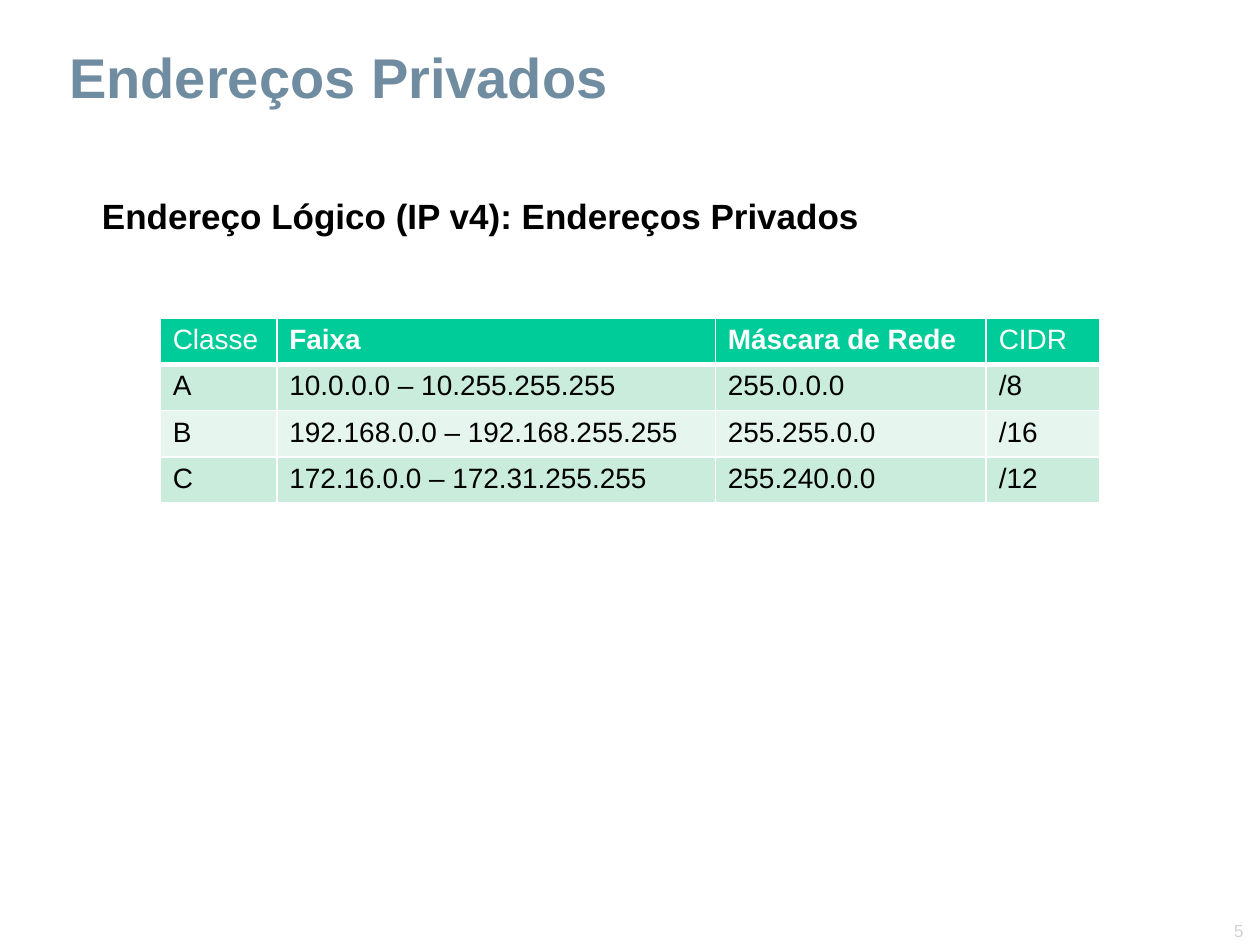
from lxml import etree
from pptx import Presentation
from pptx.dml.color import RGBColor
from pptx.enum import text
from pptx.oxml import ns
from pptx.util import Pt

FONT = "Arial"
COLORS = {
    "title": "708CA1",
    "body": "000000",
    "number": "D3D3D3",
    "header": "00CC99",
    "band_dark": "CAECDD",
    "band_light": "E6F6EF",
    "white": "FFFFFF",
}
HEADERS = [("Classe", False), ("Faixa", True), ("Máscara de Rede", True), ("CIDR", False)]
RANGES = [
    ("A", "10.0.0.0 – 10.255.255.255", "255.0.0.0", "/8"),
    ("B", "192.168.0.0 – 192.168.255.255", "255.255.0.0", "/16"),
    ("C", "172.16.0.0 – 172.31.255.255", "255.240.0.0", "/12"),
]
COLUMN_WIDTHS = [66.6, 250.6, 154.8, 64.8]
ROW_HEIGHT = 26.4


def add_run(para, content, size, color, bold=False):
    span = para.add_run()
    span.text = content
    span.font.name = FONT
    span.font.size = Pt(size)
    span.font.bold = bold
    span.font.color.rgb = RGBColor.from_string(COLORS[color])


def add_text(page, frame, content, size, color, bold=False,
             anchor=text.MSO_ANCHOR.TOP, align=text.PP_ALIGN.LEFT, spacing=1.0):
    box = page.shapes.add_textbox(*map(Pt, frame))
    body = box.text_frame
    body.word_wrap = True
    body.vertical_anchor = anchor
    body.margin_left = body.margin_right = Pt(6.5)
    body.margin_top = body.margin_bottom = Pt(3)
    para = body.paragraphs[0]
    para.alignment = align
    para.line_spacing = spacing
    add_run(para, content, size, color, bold)


def add_borders(cell, bottom_width):
    properties = cell._tc.get_or_add_tcPr()
    for side, width in (("L", 1), ("R", 1), ("T", 1), ("B", bottom_width)):
        line = etree.SubElement(properties, ns.qn(f"a:ln{side}"), w=str(Pt(width)))
        fill = etree.SubElement(line, ns.qn("a:solidFill"))
        etree.SubElement(fill, ns.qn("a:srgbClr"), val=COLORS["white"])


def fill_cell(cell, content, fill, color, bold=False, bottom_width=1):
    add_borders(cell, bottom_width)
    cell.fill.solid()
    cell.fill.fore_color.rgb = RGBColor.from_string(COLORS[fill])
    add_run(cell.text_frame.paragraphs[0], content, 16, color, bold)


def add_address_table(page, left, top):
    row_count = len(RANGES) + 1
    table = page.shapes.add_table(
        row_count, len(HEADERS), Pt(left), Pt(top),
        Pt(sum(COLUMN_WIDTHS)), Pt(ROW_HEIGHT * row_count)).table
    for column, width in zip(table.columns, COLUMN_WIDTHS):
        column.width = Pt(width)
    for row in table.rows:
        row.height = Pt(ROW_HEIGHT)
    for index, (label, bold) in enumerate(HEADERS):
        fill_cell(table.cell(0, index), label, "header", "white", bold, 3)
    for row_index, values in enumerate(RANGES, 1):
        band = "band_dark" if row_index % 2 else "band_light"
        for index, value in enumerate(values):
            fill_cell(table.cell(row_index, index), value, band, "body")


def main():
    deck = Presentation()
    deck.slide_width, deck.slide_height = Pt(720), Pt(540)
    page = deck.slides.add_slide(deck.slide_layouts[6])
    add_text(page, (658.8, 522, 58.3, 18.7), "5", 10, "number",
             anchor=text.MSO_ANCHOR.BOTTOM, align=text.PP_ALIGN.RIGHT)
    add_text(page, (51.8, 111.6, 625, 215.3),
             "Endereço Lógico (IP v4): Endereços Privados", 20, "body", bold=True,
             align=text.PP_ALIGN.JUSTIFY, spacing=0.85)
    add_address_table(page, 91.6, 181.8)
    add_text(page, (33.1, 0, 608.4, 66.2), "Endereços Privados", 32, "title", bold=True,
             anchor=text.MSO_ANCHOR.BOTTOM, spacing=0.9)
    deck.save("out.pptx")


if __name__ == "__main__":
    main()
